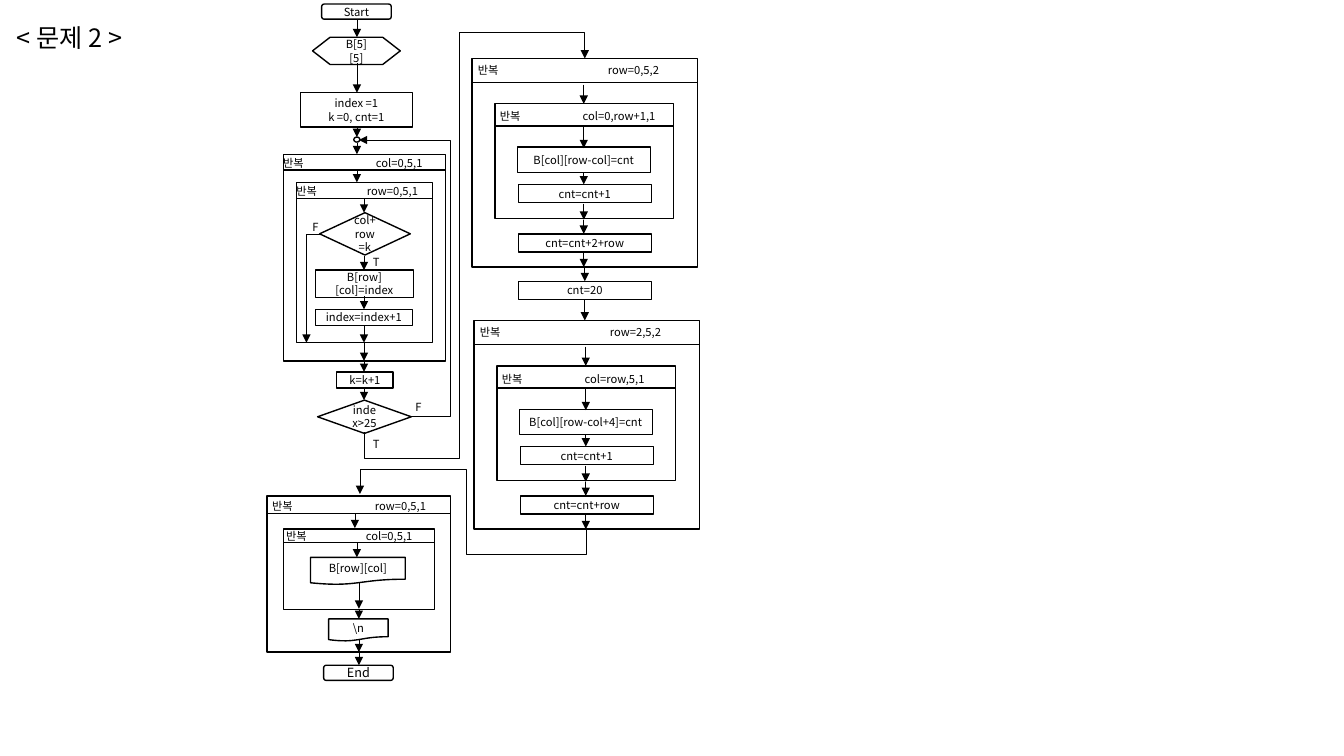
from pptx import Presentation
from pptx.dml.color import RGBColor
from pptx.enum.shapes import MSO_CONNECTOR, MSO_SHAPE
from pptx.enum.text import MSO_ANCHOR, MSO_AUTO_SIZE, PP_ALIGN
from pptx.oxml.xmlchemy import OxmlElement
from pptx.util import Cm, Pt

BLACK = RGBColor(0, 0, 0)
FONT = "Noto Sans CJK KR"


def inches(value):
    """Convert a length in inches through centimetres."""
    return Cm(value * 2.54)


def add_child(parent, tag, **attributes):
    """Append an XML element with its attributes."""
    child = OxmlElement(tag)
    for name, value in attributes.items():
        child.set(name, str(value))
    parent.append(child)
    return child


def write(frame, text, size=8, align=PP_ALIGN.LEFT, tab=None):
    """Write lines of text with one format and an optional tab stop."""
    for number, line in enumerate(text.split("\n")):
        paragraph = frame.add_paragraph() if number else frame.paragraphs[0]
        paragraph.alignment = align
        if tab:
            tabs = add_child(paragraph._p.get_or_add_pPr(), "a:tabLst")
            add_child(tabs, "a:tab", pos=inches(tab), algn="l")
        run = paragraph.add_run()
        run.text = line
        run.font.size = Pt(size)
        run.font.color.rgb = BLACK
        run.font.name = FONT
        add_child(run._r.get_or_add_rPr(), "a:ea", typeface=FONT)


def add_label(slide, left, top, width, text, height=0.24, **text_format):
    """Add a wrapping text box."""
    label = slide.shapes.add_textbox(*map(inches, (left, top, width, height)))
    label.text_frame.word_wrap = True
    label.text_frame.auto_size = MSO_AUTO_SIZE.SHAPE_TO_FIT_TEXT
    write(label.text_frame, text, **text_format)


def add_box(slide, left, top, width, height, text="", kind=MSO_SHAPE.RECTANGLE, size=8):
    """Add an outlined flowchart symbol with centred text."""
    shape = slide.shapes.add_shape(kind, *map(inches, (left, top, width, height)))
    shape.shadow.inherit = False
    shape.fill.background()
    shape.line.color.rgb = BLACK
    shape.line.width = Pt(1)
    if text:
        shape.text_frame.vertical_anchor = MSO_ANCHOR.MIDDLE
        write(shape.text_frame, text, size=size, align=PP_ALIGN.CENTER)


def add_line(slide, begin, end, kind=MSO_CONNECTOR.STRAIGHT, width=0.5, arrow=True):
    """Add a black connector, usually with an arrowhead at its end."""
    connector = slide.shapes.add_connector(kind, *map(inches, (*begin, *end)))
    connector.line.color.rgb = BLACK
    connector.line.width = Pt(width)
    if arrow:
        add_child(connector.line._get_or_add_ln(), "a:tailEnd", type="triangle")
    add_child(connector._element.spPr, "a:effectLst")
    return connector


def add_arrows(slide, x, *spans):
    """Add downward arrows that share one horizontal position."""
    for top, bottom in spans:
        add_line(slide, (x, top), (x, bottom))


def add_elbow(slide, begin, end, preset, adjustments=(), turned=False):
    """Add a bent arrow, turned a quarter when it leaves vertically."""
    if turned:
        middle_x, middle_y = (begin[0] + end[0]) / 2, (begin[1] + end[1]) / 2
        half_x, half_y = (end[1] - begin[1]) / 2, (begin[0] - end[0]) / 2
        begin = middle_x - half_x, middle_y - half_y
        end = middle_x + half_x, middle_y + half_y
    properties = add_line(slide, begin, end, MSO_CONNECTOR.ELBOW)._element.spPr
    if turned:
        properties.xfrm.set("rot", str(90 * 60000))
    geometry = properties.prstGeom
    geometry.set("prst", preset)
    for child in list(geometry):
        geometry.remove(child)
    guides = add_child(geometry, "a:avLst")
    for number, value in enumerate(adjustments, 1):
        add_child(guides, "a:gd", name=f"adj{number}", fmla=f"val {round(value * 100000)}")


def add_loop(slide, left, top, width, height, header, condition, heading, tab):
    """Add a loop frame with a header rule and a tabbed heading."""
    add_box(slide, left, top, width, height)
    rule = top + header
    add_line(slide, (left, rule), (left + width, rule), width=1, arrow=False)
    add_label(slide, *heading, f"반복\t{condition}", tab=tab)


def add_diagonal_block(slide, dx, dy, outer, inner, assignment, step):
    """Add a nested loop block that fills diagonals."""
    add_loop(slide, 4.68 + dx, 0.58 + dy, 2.24, 2.07, 0.24, outer,
             (4.64 + dx, 0.58 + dy, 2.28), 1.29)
    add_loop(slide, 4.91 + dx, 1.03 + dy, 1.77, 1.14, 0.22, inner,
             (4.86 + dx, 1.04 + dy, 1.98), 0.82)
    add_box(slide, 5.13 + dx, 1.46 + dy, 1.32, 0.25, assignment)
    add_box(slide, 5.14 + dx, 1.83 + dy, 1.32, 0.18, "cnt=cnt+1")
    add_box(slide, 5.14 + dx, 2.32 + dy, 1.32, 0.18, step)
    spans = (0.84, 1.03), (1.25, 1.47), (1.71, 1.83), (2.02, 2.18), (2.18, 2.32), (2.51, 2.65)
    add_arrows(slide, 5.79 + dx, *((top + dy, bottom + dy) for top, bottom in spans))


def add_start(slide):
    """Add the start and the initial values."""
    add_box(slide, 3.19, 0.04, 0.69, 0.15, "Start", MSO_SHAPE.FLOWCHART_ALTERNATE_PROCESS)
    add_box(slide, 3.1, 0.37, 0.87, 0.27, "B[5][5]", MSO_SHAPE.FLOWCHART_PREPARATION)
    add_box(slide, 2.98, 0.92, 1.11, 0.34, "index =1\nk =0, cnt=1")
    add_box(slide, 3.51, 1.36, 0.06, 0.05, kind=MSO_SHAPE.FLOWCHART_CONNECTOR)
    add_arrows(slide, 3.54, (0.19, 0.37), (0.63, 0.92), (1.26, 1.36), (1.42, 1.53))


def add_search(slide):
    """Add the loops that number the cells by index."""
    add_loop(slide, 2.81, 1.53, 1.61, 2.05, 0.155, "col=0,5,1", (2.71, 1.5, 1.8), 0.92)
    add_loop(slide, 2.94, 1.81, 1.35, 1.59, 0.16, "row=0,5,1", (2.84, 1.78, 1.78), 0.7)
    add_box(slide, 3.17, 2.11, 0.9, 0.42, "col+row=k", MSO_SHAPE.FLOWCHART_DECISION)
    add_box(slide, 3.13, 2.68, 0.97, 0.27, "B[row][col]=index")
    add_box(slide, 3.13, 3.07, 0.96, 0.16, "index=index+1")
    add_box(slide, 3.34, 3.69, 0.56, 0.16, "k=k+1")
    add_box(slide, 3.15, 3.97, 0.93, 0.33, "index>25", MSO_SHAPE.FLOWCHART_DECISION)
    add_arrows(slide, 3.54, (1.68, 1.81))
    add_arrows(slide, 3.61, (1.97, 2.11), (2.54, 2.68), (2.94, 3.07), (3.23, 3.4),
               (3.4, 3.58), (3.58, 3.69), (3.85, 3.97))
    for left, top, answer in ((3.6, 2.48, "T"), (3, 2.14, "F"), (4.02, 3.92, "F"), (3.6, 4.29, "T")):
        add_label(slide, left, top, 0.32, answer)
    add_elbow(slide, (3.17, 2.32), (3.04, 3.4), "bentConnector2")
    add_elbow(slide, (4.08, 4.13), (3.56, 1.39), "bentConnector3", (-0.74,))


def add_output(slide):
    """Add the loops that print the array, and the end."""
    add_loop(slide, 2.65, 4.92, 1.82, 1.55, 0.175, "row=0,5,1", (2.6, 4.9, 1.93), 1.02)
    add_loop(slide, 2.81, 5.25, 1.5, 0.8, 0.135, "col=0,5,1", (2.74, 5.2, 1.74), 0.79)
    add_box(slide, 3.08, 5.53, 0.94, 0.27, "B[row][col]", MSO_SHAPE.FLOWCHART_DOCUMENT)
    add_box(slide, 3.26, 6.14, 0.59, 0.22, "\\n", MSO_SHAPE.FLOWCHART_DOCUMENT)
    add_box(slide, 3.21, 6.6, 0.69, 0.15, "End", MSO_SHAPE.FLOWCHART_ALTERNATE_PROCESS, size=9)
    add_arrows(slide, 3.52, (5.09, 5.24))
    add_arrows(slide, 3.54, (5.38, 5.53))
    add_arrows(slide, 3.56, (5.78, 6.04), (6.04, 6.14), (6.35, 6.47), (6.47, 6.6))


def main():
    """Build the flowchart slide and save it."""
    presentation = Presentation()
    presentation.slide_width, presentation.slide_height = inches(13.33), inches(7.5)
    slide = presentation.slides.add_slide(presentation.slide_layouts[6])
    add_label(slide, 0.07, 0.17, 1.49, "< 문제 2 >", height=0.4, size=18)
    add_start(slide)
    add_search(slide)
    add_diagonal_block(slide, 0, 0, "row=0,5,2", "col=0,row+1,1", "B[col][row-col]=cnt", "cnt=cnt+2+row")
    add_box(slide, 5.14, 2.79, 1.32, 0.18, "cnt=20")
    add_arrows(slide, 5.8, (2.65, 2.79), (2.97, 3.18))
    add_diagonal_block(slide, 0.02, 2.6, "row=2,5,2", "col=row,5,1", "B[col][row-col+4]=cnt", "cnt=cnt+row")
    add_output(slide)
    add_elbow(slide, (3.61, 4.29), (5.8, 0.58), "bentConnector5", (-0.07, 0.43, 1.07), turned=True)
    add_elbow(slide, (5.82, 5.25), (3.57, 4.9), "bentConnector5", (-0.71, 0.53, 1.71), turned=True)
    presentation.save("out.pptx")


main()
